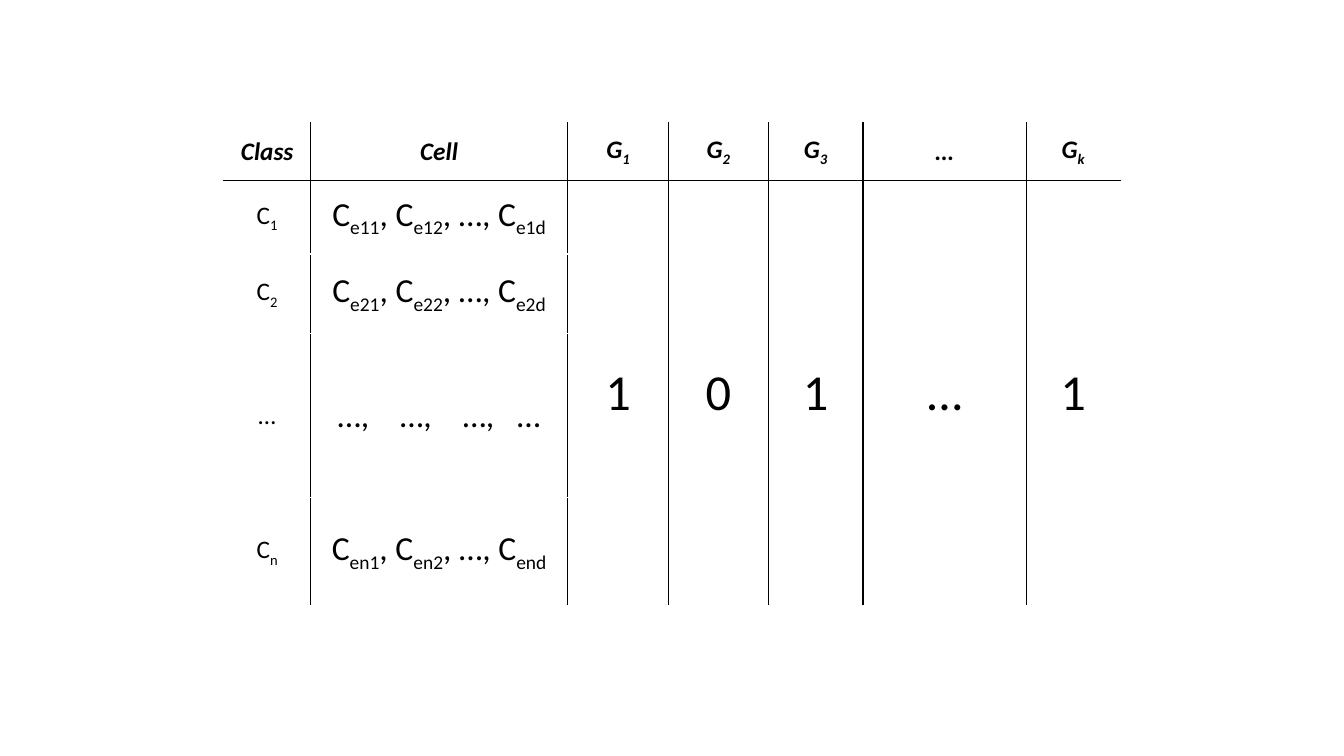
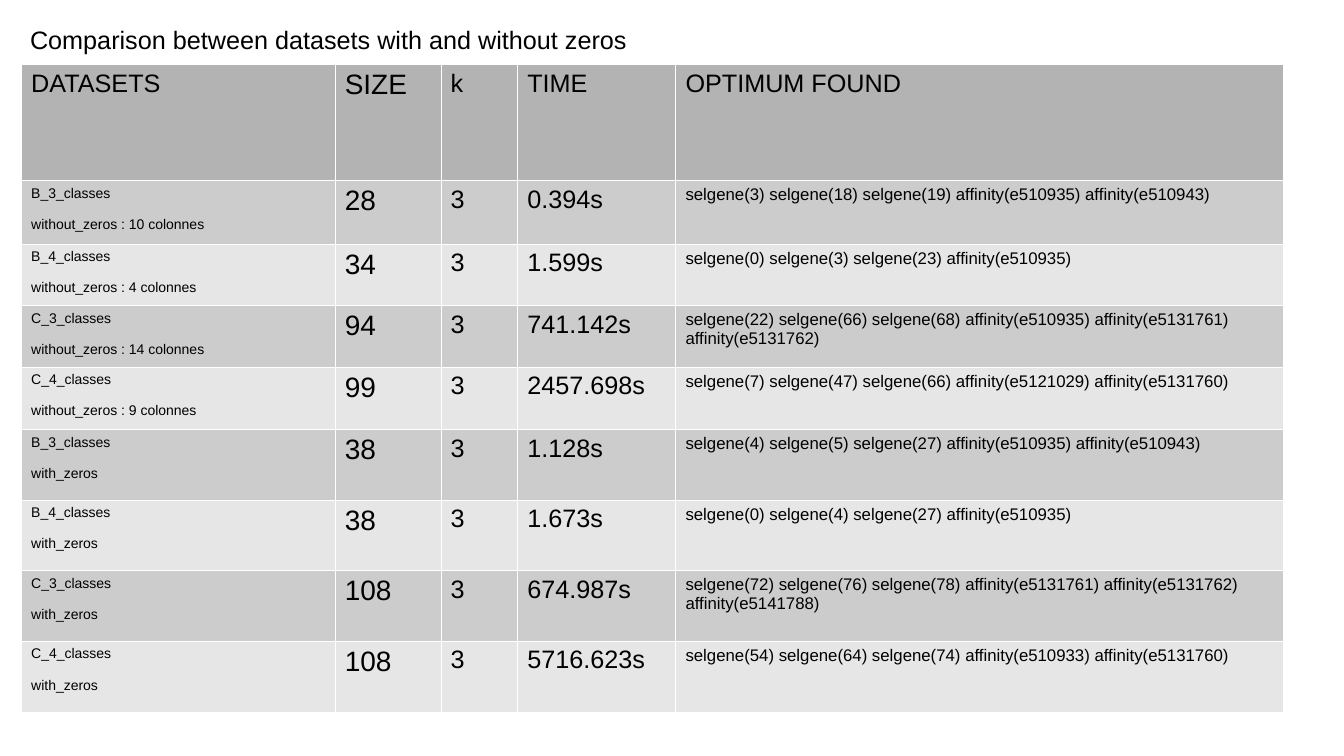
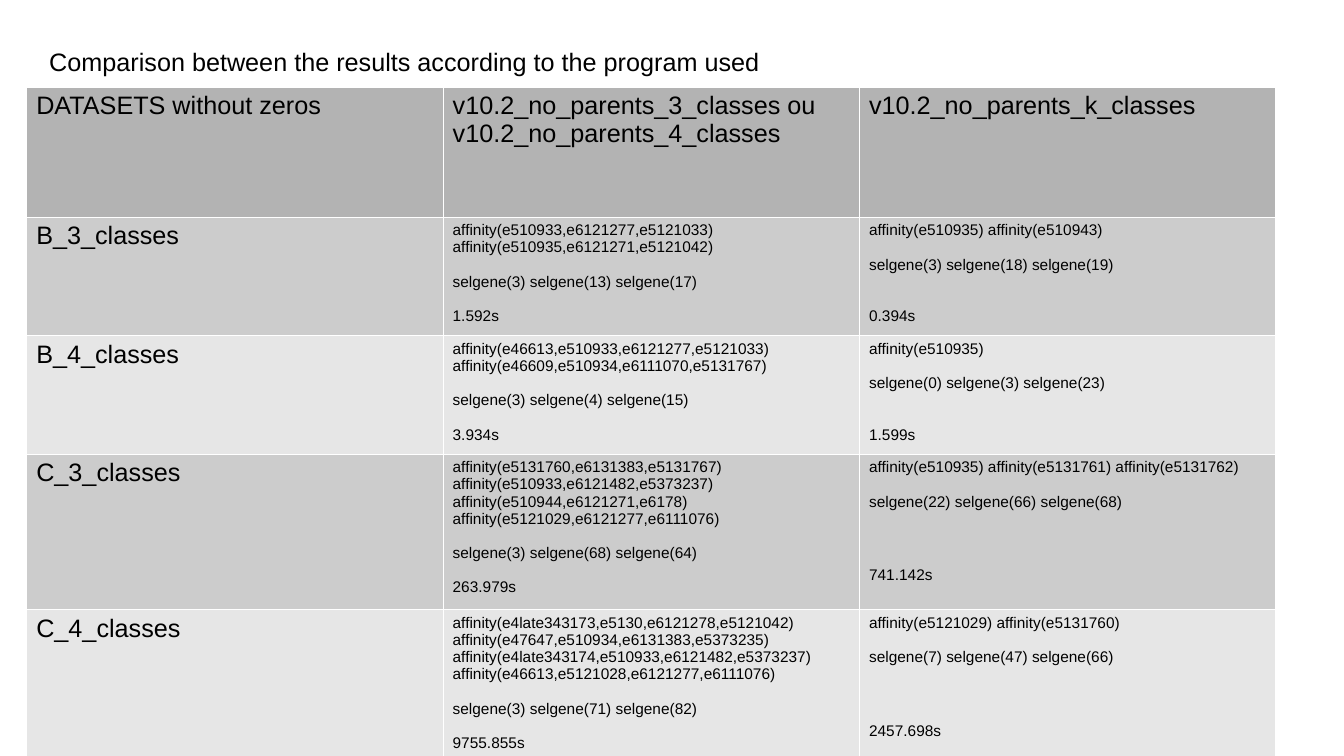
"""Build three slides of gene selection tables."""
from dataclasses import dataclass

from lxml import etree
from pptx import Presentation
from pptx import util as u
from pptx.dml.color import RGBColor
from pptx.enum import text
from pptx.oxml.ns import qn

BLACK, WHITE = "000000", "FFFFFF"
HEADER_FILL, BODY_FILLS = "B3B3B3", ("CCCCCC", "E6E6E6")


@dataclass
class Line:
    """One paragraph; every second piece between bars is a subscript."""
    words: str
    size: float = 18
    before: float = 0
    font: str = "Arial"
    strong: bool = False
    centred: bool = False
    tabs: tuple[float, ...] = ()


@dataclass
class Grid:
    """Place and track sizes of a table, in inches."""
    left: float
    top: float
    columns: list[float]
    rows: list[float]


@dataclass
class Edges:
    """Border colours of a cell and their shared width in points."""
    L: str = WHITE
    R: str = WHITE
    T: str = WHITE
    B: str = WHITE
    width: float = 0.06


def colour(value: str) -> RGBColor:
    """Turn a hex string into a colour."""
    return RGBColor.from_string(value)


def write_lines(frame, lines: list[Line]) -> None:
    """Fill a text frame with paragraphs."""
    for index, line in enumerate(lines):
        para = frame.add_paragraph() if index else frame.paragraphs[0]
        para.space_before = u.Pt(line.before)
        para.alignment = text.PP_ALIGN.CENTER if line.centred else text.PP_ALIGN.LEFT
        if line.tabs:
            stops = etree.SubElement(para._p.get_or_add_pPr(), qn("a:tabLst"))
            for stop in line.tabs:
                etree.SubElement(stops, qn("a:tab"), pos=str(u.Inches(stop)), algn="l")
        look = {"name": line.font, "size": u.Pt(line.size),
                "bold": line.strong, "italic": line.strong}
        for piece, words in enumerate(line.words.split("|")):
            if not words:
                continue
            span = para.add_run()
            span.text = words
            for key, value in look.items():
                setattr(span.font, key, value)
            span.font.color.rgb = colour(BLACK)
            if piece % 2:
                span._r.get_or_add_rPr().set("baseline", "-25000")


def draw_edges(cell, edges: Edges) -> None:
    """Set the four borders of a cell."""
    properties = cell._tc.get_or_add_tcPr()
    for side in "LRTB":
        border = etree.SubElement(properties, qn(f"a:ln{side}"), w=str(u.Pt(edges.width)))
        fill = etree.SubElement(border, qn("a:solidFill"))
        etree.SubElement(fill, qn("a:srgbClr"), val=getattr(edges, side))


def add_grid(page, grid: Grid):
    """Add an unstyled table with the given tracks."""
    frame = page.shapes.add_table(
        len(grid.rows), len(grid.columns), u.Inches(grid.left), u.Inches(grid.top),
        u.Inches(sum(grid.columns)), u.Inches(sum(grid.rows)))
    table = frame.table
    table.first_row = table.horz_banding = False
    for column, width in zip(table.columns, grid.columns):
        column.width = u.Inches(width)
    for row, height in zip(table.rows, grid.rows):
        row.height = u.Inches(height)
    return table


def add_title(page, words: str, left: float, top: float, width: float) -> None:
    """Add the heading above a results table."""
    box = page.shapes.add_textbox(
        u.Inches(left), u.Inches(top), u.Inches(width), u.Inches(0.38))
    box.text_frame.word_wrap = True
    write_lines(box.text_frame, [Line(words)])


def add_results(page, grid: Grid, content: list[list[list[Line]]]) -> None:
    """Add a grey banded table of results."""
    table = add_grid(page, grid)
    for r, row in enumerate(content):
        for c, lines in enumerate(row):
            cell = table.cell(r, c)
            draw_edges(cell, Edges())
            cell.fill.solid()
            cell.fill.fore_color.rgb = colour(BODY_FILLS[(r - 1) % 2] if r else HEADER_FILL)
            write_lines(cell.text_frame, lines)


def class_slide(page) -> None:
    """Draw the table of classes, cells and genes."""
    grid = Grid(2.22, 1.22, [0.86, 2.55, 1, 0.99, 0.94, 1.62, 0.93],
                [0.57, 0.73, 0.79, 1.63, 1.07])
    headers = ["Class", "Cell", "G|1", "G|2", "G|3", "…", "G|k"]
    classes = [
        ("C|1", "C|e11|, C|e12|, …, C|e1d"),
        ("C|2", "C|e21|, C|e22|, …, C|e2d"),
        ("…", "…,\t…,\t…,\t…"),
        ("C|n", "C|en1|, C|en2|, …, C|end"),
    ]
    genes = ["1", "0", "1", "…", "1"]
    table = add_grid(page, grid)
    last_row, last_column = len(grid.rows) - 1, len(grid.columns) - 1
    for r in range(last_row + 1):
        for c in range(last_column + 1):
            cell = table.cell(r, c)
            draw_edges(cell, Edges(
                L=BLACK if c else WHITE, R=BLACK if c < last_column else WHITE,
                T=BLACK if r == 1 else WHITE, B=WHITE if r else BLACK, width=0.96))
            cell.fill.background()
            cell.vertical_anchor = text.MSO_ANCHOR.MIDDLE

    def put(r: int, c: int, words: str, size: float, strong: bool = False) -> None:
        """Write one centred entry, or a tabbed one."""
        cell = table.cell(r, c)
        tabbed = "\t" in words
        if tabbed:
            cell.margin_left = u.Inches(0.27)
        write_lines(cell.text_frame, [Line(
            words, size, font="Calibri", strong=strong, centred=not tabbed,
            tabs=(0.62, 1.24, 1.78) if tabbed else ())])

    for c, words in enumerate(headers):
        put(0, c, words, 18, True)
    for r, (name, members) in enumerate(classes, 1):
        put(r, 0, name, 18)
        put(r, 1, members, 24)
    for c, value in enumerate(genes, 2):
        table.cell(1, c).merge(table.cell(last_row, c))
        put(1, c, value, 36)


def zeros_slide(page) -> None:
    """Draw the comparison of datasets with and without zeros."""
    results = [
        ("B_3_classes", "without_zeros : 10 colonnes", "28", "0.394s",
         "selgene(3) selgene(18) selgene(19) affinity(e510935) affinity(e510943)"),
        ("B_4_classes", "without_zeros : 4 colonnes", "34", "1.599s",
         "selgene(0) selgene(3) selgene(23) affinity(e510935)"),
        ("C_3_classes", "without_zeros : 14 colonnes", "94", "741.142s",
         "selgene(22) selgene(66) selgene(68) affinity(e510935) affinity(e5131761) "
         "affinity(e5131762)"),
        ("C_4_classes", "without_zeros : 9 colonnes", "99", "2457.698s",
         "selgene(7) selgene(47) selgene(66) affinity(e5121029) affinity(e5131760)"),
        ("B_3_classes", "with_zeros", "38", "1.128s",
         "selgene(4) selgene(5) selgene(27) affinity(e510935) affinity(e510943)"),
        ("B_4_classes", "with_zeros", "38", "1.673s",
         "selgene(0) selgene(4) selgene(27) affinity(e510935)"),
        ("C_3_classes", "with_zeros", "108", "674.987s",
         "selgene(72) selgene(76) selgene(78) affinity(e5131761) affinity(e5131762) "
         "affinity(e5141788)"),
        ("C_4_classes", "with_zeros", "108", "5716.623s",
         "selgene(54) selgene(64) selgene(74) affinity(e510933) affinity(e5131760)"),
    ]
    content = [[[Line("DATASETS")], [Line("SIZE", 20)], [Line("k")], [Line("TIME")],
                [Line("OPTIMUM FOUND")]]]
    for name, note, size, time, optimum in results:
        content.append([[Line(name, 10), Line(note, 10, before=11.2)], [Line(size, 20)],
                        [Line("3")], [Line(time)], [Line(optimum, 12)]])
    grid = Grid(0.21, 0.64, [3.11, 1.05, 0.76, 1.57, 6.03],
                [1.15, 0.63, 0.61, 0.61, 0.62] + [0.7] * 4)
    add_results(page, grid, content)
    add_title(page, "Comparison between datasets with and without zeros", 0.2, 0.19, 6.5)


def program_slide(page) -> None:
    """Draw the comparison of the two programs."""
    gap, wide_gap = 12.3, 40.5
    results = [
        ("B_3_classes",
         ("affinity(e510933,e6121277,e5121033) affinity(e510935,e6121271,e5121042)",
          "selgene(3) selgene(13) selgene(17)", "1.592s"),
         ("affinity(e510935) affinity(e510943)",
          "selgene(3) selgene(18) selgene(19)", "0.394s"), 2 * gap),
        ("B_4_classes",
         ("affinity(e46613,e510933,e6121277,e5121033) "
          "affinity(e46609,e510934,e6111070,e5131767)",
          "selgene(3) selgene(4) selgene(15)", "3.934s"),
         ("affinity(e510935)", "selgene(0) selgene(3) selgene(23)", "1.599s"), 2 * gap),
        ("C_3_classes",
         ("affinity(e5131760,e6131383,e5131767) affinity(e510933,e6121482,e5373237) "
          "affinity(e510944,e6121271,e6178) affinity(e5121029,e6121277,e6111076)",
          "selgene(3) selgene(68) selgene(64)", "263.979s"),
         ("affinity(e510935) affinity(e5131761) affinity(e5131762)",
          "selgene(22) selgene(66) selgene(68)", "741.142s"), wide_gap),
        ("C_4_classes",
         ("affinity(e4late343173,e5130,e6121278,e5121042) "
          "affinity(e47647,e510934,e6131383,e5373235) "
          "affinity(e4late343174,e510933,e6121482,e5373237) "
          "affinity(e46613,e5121028,e6121277,e6111076)",
          "selgene(3) selgene(71) selgene(82)", "9755.855s"),
         ("affinity(e5121029) affinity(e5131760)",
          "selgene(7) selgene(47) selgene(66)", "2457.698s"), wide_gap),
    ]
    headers = ["DATASETS without zeros",
               "v10.2_no_parents_3_classes ou v10.2_no_parents_4_classes",
               "v10.2_no_parents_k_classes"]

    def outcome(parts: tuple[str, ...], time_gap: float) -> list[Line]:
        """Space out affinities, genes and time."""
        return [Line(words, 11, before)
                for words, before in zip(parts, (0, gap, time_gap))]

    content = [[[Line(words)] for words in headers]]
    for name, fixed, general, time_gap in results:
        content.append([[Line(name)], outcome(fixed, gap), outcome(general, time_gap)])
    grid = Grid(0.26, 0.86, [4.13] * 3, [1.29, 1.13, 1.13, 1.47, 1.47])
    add_results(page, grid, content)
    add_title(page, "Comparison between the results according to the program used",
              0.39, 0.41, 7.6)


def main() -> None:
    """Build and save the deck."""
    deck = Presentation()
    deck.slide_width, deck.slide_height = u.Inches(13.33), u.Inches(7.5)
    for draw in (class_slide, zeros_slide, program_slide):
        draw(deck.slides.add_slide(deck.slide_layouts[6]))
    deck.save("out.pptx")


if __name__ == "__main__":
    main()
